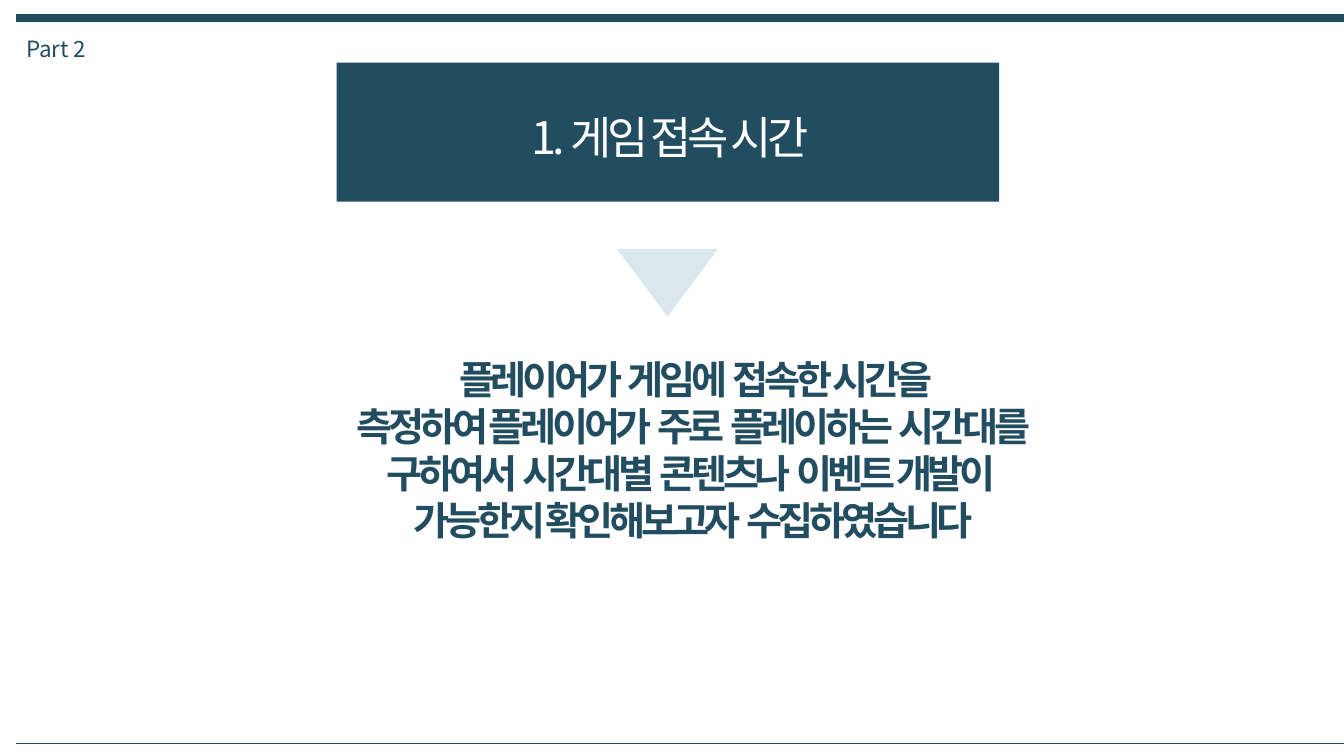
from dataclasses import dataclass

from lxml.etree import SubElement
from pptx import Presentation
from pptx.dml.color import RGBColor
from pptx.enum.shapes import MSO_CONNECTOR, MSO_SHAPE
from pptx.enum.text import MSO_ANCHOR, MSO_AUTO_SIZE, PP_ALIGN
from pptx.oxml.ns import qn
from pptx.util import Inches, Pt

COLORS = {"navy": "224D60", "pale": "DAE7ED", "white": "FFFFFF"}
FONT = "Noto Sans CJK KR"


@dataclass
class Rule:
    y: float
    width: float


@dataclass
class Block:
    box: tuple[float, float, float, float]
    kind: MSO_SHAPE
    color: str
    rotation: float = 0


@dataclass
class Label:
    box: tuple[float, float, float, float]
    lines: list[str]
    size: float
    color: str
    bold: bool = False
    tracking: int = 0
    align: PP_ALIGN = PP_ALIGN.CENTER


RULES = [Rule(0.18, 6), Rule(7.37, 0.25)]
BLOCKS = [
    Block((3.34, 0.62, 6.57, 1.38), MSO_SHAPE.RECTANGLE, "navy"),
    Block((6.12, 2.47, 1, 0.67), MSO_SHAPE.ISOSCELES_TRIANGLE, "pale", 180),
]
PART = Label((0.16, 0.3, 0.81, 0.37), ["Part 2"], 16, "navy", align=PP_ALIGN.LEFT)
TITLE = Label((5.02, 1.04, 3.25, 0.64), ["1. 게임 접속 시간"], 32, "white", tracking=-300)
BODY = Label(
    (2.86, 3.47, 8.08, 2.46),
    [
        "플레이어가  게임에  접속한 시간을",
        "측정하여 플레이어가  주로  플레이하는  시간대를 ",
        "구하여서  시간대별  콘텐츠나  이벤트 개발이  ",
        "가능한지 확인해보고자  수집하였습니다 ",
    ],
    28, "navy", bold=True, tracking=-300,
)


def rgb(name: str) -> RGBColor:
    return RGBColor.from_string(COLORS[name])


def set_all(target, values: dict) -> None:
    for name, value in values.items():
        setattr(target, name, value)


def place(sp, box: tuple[float, float, float, float]) -> None:
    set_all(sp, dict(zip(("left", "top", "width", "height"), map(Inches, box))))


def draw_rule(s, rule: Rule) -> None:
    y = Inches(rule.y)
    line = s.shapes.add_connector(MSO_CONNECTOR.STRAIGHT, Inches(0.16), y, Inches(13.35), y)
    line.line.color.rgb = rgb("navy")
    line.line.width = Pt(rule.width)
    SubElement(line._element.spPr, qn("a:effectLst"))


def draw_block(s, block: Block) -> None:
    sp = s.shapes.add_shape(block.kind, *map(Inches, block.box))
    sp.shadow.inherit = False
    sp.fill.solid()
    sp.fill.fore_color.rgb = rgb(block.color)
    sp.line.fill.background()
    sp.rotation = block.rotation


def write_label(sp, label: Label) -> None:
    place(sp, label.box)
    tf = sp.text_frame
    tf.text = "\n".join(label.lines)
    set_all(tf, {"word_wrap": False, "auto_size": MSO_AUTO_SIZE.NONE,
                 "vertical_anchor": MSO_ANCHOR.TOP})
    for p in tf.paragraphs:
        set_all(p, {"alignment": label.align, "space_before": Pt(0), "line_spacing": 1.0})
        # No bullet or hanging indent
        pPr = p._p.get_or_add_pPr()
        pPr.set("marL", "0")
        pPr.set("indent", "0")
        SubElement(pPr, qn("a:buNone"))
        for r in p.runs:
            set_all(r.font, {"name": FONT, "size": Pt(label.size), "bold": label.bold})
            r.font.color.rgb = rgb(label.color)
            rPr = r._r.get_or_add_rPr()
            rPr.set("spc", str(label.tracking))
            SubElement(rPr, qn("a:ea")).set("typeface", FONT)


def main() -> None:
    prs = Presentation()
    prs.slide_width, prs.slide_height = Inches(13.33), Inches(7.5)
    s = prs.slides.add_slide(prs.slide_layouts[1])

    # Frame lines, title panel and arrow
    for rule in RULES:
        draw_rule(s, rule)
    for block in BLOCKS:
        draw_block(s, block)

    # Texts, with the placeholders brought in front of the panel
    title, body = s.shapes.title, s.placeholders[1]
    for sp in (title, body):
        s.shapes._spTree.append(sp._element)
    part = s.shapes.add_textbox(*map(Inches, PART.box))
    for sp, label in ((part, PART), (title, TITLE), (body, BODY)):
        write_label(sp, label)

    prs.save("out.pptx")


if __name__ == "__main__":
    main()
